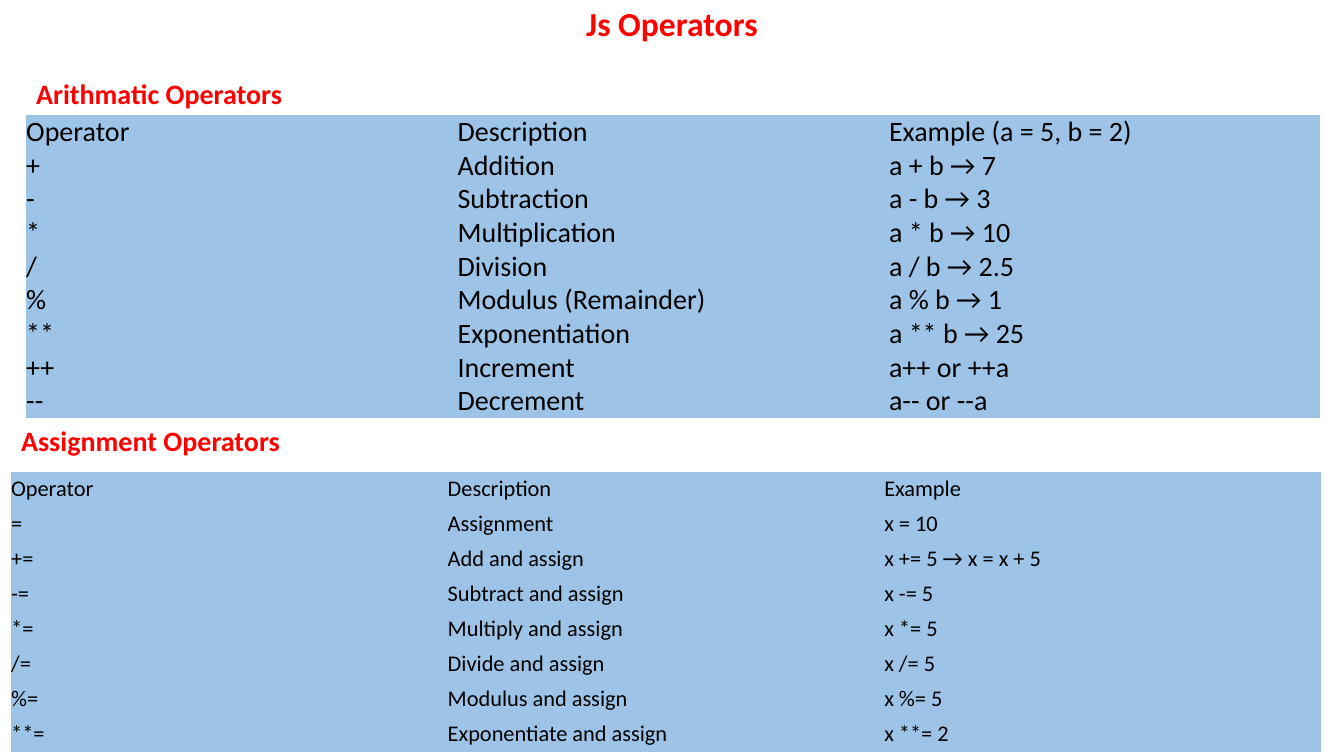
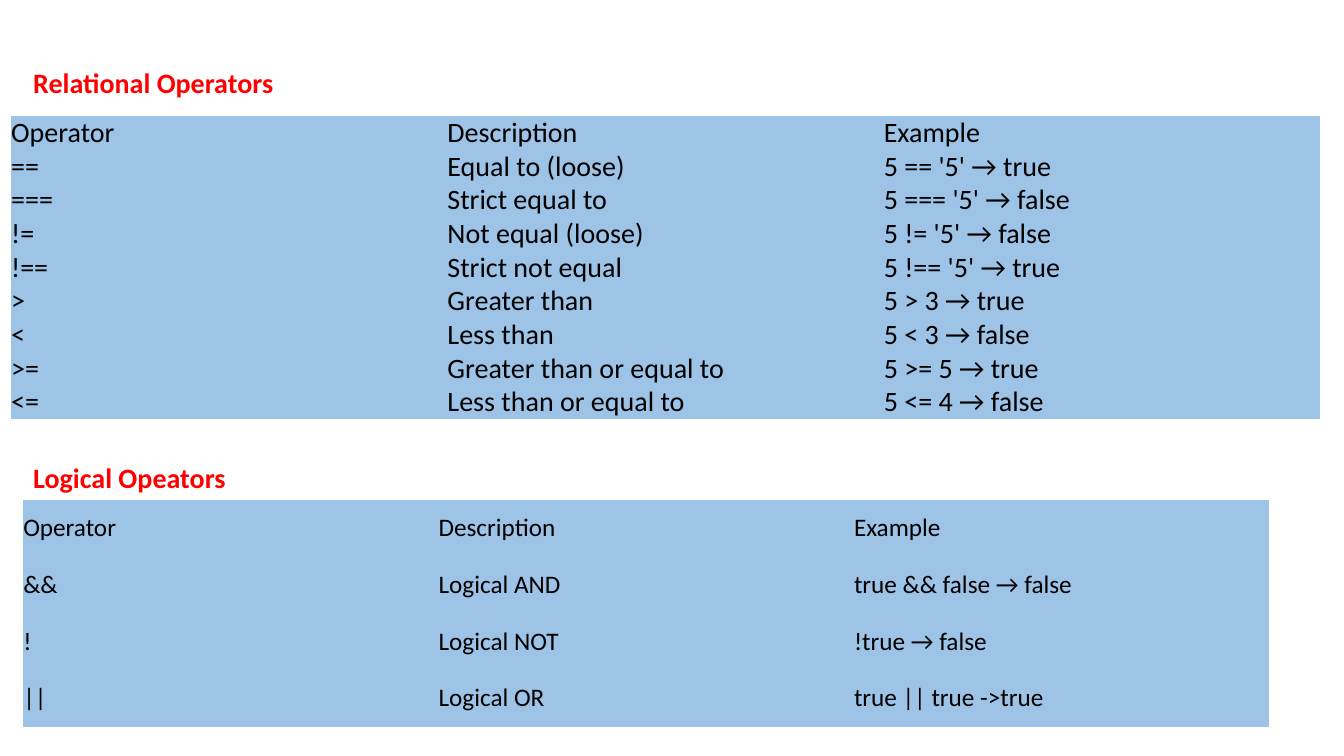
from pptx import Presentation
from pptx.dml.color import RGBColor
from pptx.enum import text
from pptx.util import Inches, Pt

COLORS = {"heading": "FF0000", "body": "000000", "cell": "9DC3E6"}
NO_GRID_STYLE = "{2D5ABB26-0587-4C30-8999-92F81FD0307C}"
HEADER = ("Operator", "Description", "Example")

ARITHMETIC = [
    ("Operator", "Description", "Example (a = 5, b = 2)"),
    ("+", "Addition", "a + b → 7"),
    ("-", "Subtraction", "a - b → 3"),
    ("*", "Multiplication", "a * b → 10"),
    ("/", "Division", "a / b → 2.5"),
    ("%", "Modulus (Remainder)", "a % b → 1"),
    ("**", "Exponentiation", "a ** b → 25"),
    ("++", "Increment", "a++ or ++a"),
    ("--", "Decrement", "a-- or --a"),
]
ASSIGNMENT = [
    HEADER,
    ("=", "Assignment", "x = 10"),
    ("+=", "Add and assign", "x += 5 → x = x + 5"),
    ("-=", "Subtract and assign", "x -= 5"),
    ("*=", "Multiply and assign", "x *= 5"),
    ("/=", "Divide and assign", "x /= 5"),
    ("%=", "Modulus and assign", "x %= 5"),
    ("**=", "Exponentiate and assign", "x **= 2"),
]
RELATIONAL = [
    HEADER,
    ("==", "Equal to (loose)", "5 == '5' → true"),
    ("===", "Strict equal to", "5 === '5' → false"),
    ("!=", "Not equal (loose)", "5 != '5' → false"),
    ("!==", "Strict not equal", "5 !== '5' → true"),
    (">", "Greater than", "5 > 3 → true"),
    ("<", "Less than", "5 < 3 → false"),
    (">=", "Greater than or equal to", "5 >= 5 → true"),
    ("<=", "Less than or equal to", "5 <= 4 → false"),
]
LOGICAL = [
    HEADER,
    ("&&", "Logical AND", "true && false → false"),
    ("!", "Logical NOT", "!true → false"),
    ("||", "Logical OR", "true || true ->true"),
]


class OperatorDeck:
    """Style and current page; lengths are columns and rows of a 100 by 100 grid."""

    def __init__(self):
        self.deck = Presentation()
        self.deck.slide_width = Inches(13.33)
        self.deck.slide_height = Inches(7.5)
        self.page = None

    def add_page(self):
        self.page = self.deck.slides.add_slide(self.deck.slide_layouts[6])

    def place(self, left, top, width, height):
        column, row = self.deck.slide_width / 100, self.deck.slide_height / 100
        return [round(n) for n in (left * column, top * row, width * column, height * row)]

    def add_span(self, para, words, size, color, bold=False):
        span = para.add_run()
        span.text = words
        for name, value in {"name": "Calibri", "size": Pt(size), "bold": bold}.items():
            setattr(span.font, name, value)
        span.font.color.rgb = RGBColor.from_string(COLORS[color])

    def heading(self, words, left, top, width=33.3, height=5.87, size=20, **paragraph):
        box = self.page.shapes.add_textbox(*self.place(left, top, width, height))
        box.text_frame.word_wrap = True
        para = box.text_frame.paragraphs[0]
        for name, value in paragraph.items():
            setattr(para, name, value)
        self.add_span(para, words, size, "heading", bold=True)
        return box

    def title(self, words):
        box = self.heading(words, 0, 0.13, 100, 6.4, 24,
                           alignment=text.PP_ALIGN.CENTER, line_spacing=0.9)
        box.text_frame.vertical_anchor = text.MSO_ANCHOR.MIDDLE

    def table(self, rows, left, top, width, height, size):
        frame = self.page.shapes.add_table(
            len(rows), len(rows[0]), *self.place(left, top, width, height))
        frame.element.xpath(".//a:tableStyleId")[0].text = NO_GRID_STYLE
        grid = frame.table
        grid.first_row = grid.horz_banding = False
        cell_format = {"vertical_anchor": text.MSO_ANCHOR.MIDDLE, "margin_left": 0,
                       "margin_top": 0, "margin_right": 0, "margin_bottom": 0}
        for cell, words in zip(grid.iter_cells(), (item for row in rows for item in row)):
            for name, value in cell_format.items():
                setattr(cell, name, value)
            cell.fill.solid()
            cell.fill.fore_color.rgb = RGBColor.from_string(COLORS["cell"])
            self.add_span(cell.text_frame.paragraphs[0], words, size, "body")


def main():
    show = OperatorDeck()

    show.add_page()
    show.title("Js Operators")
    show.table(ARITHMETIC, 1.95, 15.2, 96.3, 40, size=20)
    show.table(ASSIGNMENT, 0.83, 62.4, 97.45, 37.07, size=16)
    show.heading("Assignment Operators", 0.83, 55.33)
    show.heading("Arithmatic Operators", 1.95, 9.47)

    show.add_page()
    show.table(RELATIONAL, 0.83, 15.33, 97.4, 40, size=20)
    show.heading("Relational Operators", 1.73, 8)
    show.table(LOGICAL, 1.73, 66.13, 92.72, 30, size=18)
    show.heading("Logical Opeators", 1.73, 60.27)

    show.deck.save("out.pptx")


if __name__ == "__main__":
    main()
